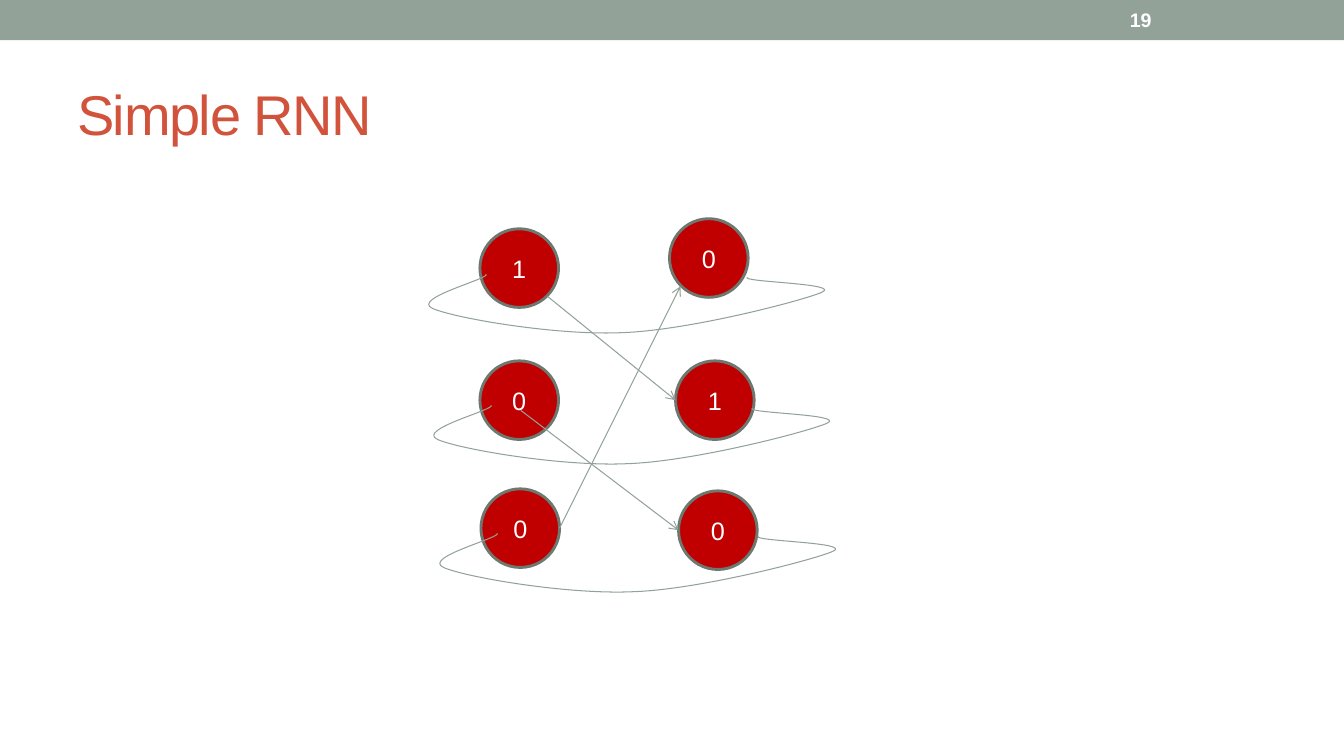
from pptx import Presentation
from pptx.dml.color import RGBColor
from pptx.enum.shapes import MSO_CONNECTOR, MSO_SHAPE
from pptx.enum.text import MSO_ANCHOR, PP_ALIGN
from pptx.oxml.ns import qn
from pptx.util import Inches, Pt
from lxml import etree

SAGE = RGBColor(0x93, 0xA2, 0x99)
RIM = RGBColor(0x6D, 0x78, 0x71)
RED = RGBColor(0xC0, 0x00, 0x00)
RUST = RGBColor(0xD2, 0x53, 0x3C)
WHITE = RGBColor(0xFF, 0xFF, 0xFF)
OVAL, RECT = MSO_SHAPE.OVAL, MSO_SHAPE.RECTANGLE
STRAIGHT = MSO_CONNECTOR.STRAIGHT
MIDDLE, CENTER = MSO_ANCHOR.MIDDLE, PP_ALIGN.CENTER

WIDE, HIGH = 13.33, 7.5
SIZE = 0.78  # node diameter
DIAG = 0.86  # share of the diameter at which the lower right rim lies

# Places are relative to the network's box
INPUTS = [("1", 0.51, 0.1), ("0", 0.51, 1.41), ("0", 0.52, 2.68)]
OUTPUTS = [("0", 2.39, 0), ("1", 2.45, 1.41), ("0", 2.48, 2.7)]
LOOPS = [(0.57, 0.55), (0.62, 1.85), (0.68, 3.12)]
# Two handles and an end for each curve of a loop, in 1/100 inch from its start
CURVES = [
    [(6, 4), (-75, 24), (-53, 34)],
    [(-30, 44), (71, 61), (135, 58)],
    [(199, 56), (312, 27), (333, 18)],
    [(354, 9), (253, 8), (259, 3)],
]


def write(shape, text, size, color, bold=False):
    frame = shape.text_frame
    frame.word_wrap = True
    frame.vertical_anchor = MIDDLE
    para = frame.paragraphs[0]
    para.text = text
    font = para.font
    font.name, font.size, font.bold = "Arial", Pt(size), bold
    font.color.rgb = color
    return para


def label(slide, box, text, size, color, bold=False):
    shape = slide.shapes.add_textbox(*map(Inches, box))
    return write(shape, text, size, color, bold)


def header(slide, box):
    """Draw the top band with the page number in it."""
    left, top, width, height = box
    band = slide.shapes.add_shape(RECT, *map(Inches, box))
    band.shadow.inherit = False
    band.fill.solid()
    band.fill.fore_color.rgb = SAGE
    band.line.fill.background()
    number = (left + width * 0.8333, top + 0.02, 1.56, height - 0.04)
    label(slide, number, "19", 14, WHITE, bold=True)


def title(slide, box):
    para = label(slide, box, "Simple RNN", 40, RUST)
    para.runs[0].font._element.set("spc", "-100")


def node(slide, text, x, y):
    oval = slide.shapes.add_shape(OVAL, *map(Inches, (x, y, SIZE, SIZE)))
    oval.shadow.inherit = False
    oval.fill.solid()
    oval.fill.fore_color.rgb = RED
    oval.line.color.rgb = RIM
    oval.line.width = Pt(2.08)
    write(oval, text, 18, WHITE).alignment = CENTER


def arrow(slide, start, end):
    line = slide.shapes.add_connector(STRAIGHT, *map(Inches, start + end))
    line.line.color.rgb = SAGE
    line.line.width = Pt(0.75)
    etree.SubElement(line.line._get_or_add_ln(), qn("a:tailEnd"), type="arrow")
    etree.SubElement(line._element.spPr, qn("a:effectLst"))


def loop(slide, x, y):
    """Draw a feedback loop whose straight pieces are turned into curves."""
    ends = [curve[-1] for curve in CURVES]
    outline = slide.shapes.build_freeform(0, 0, scale=Inches(0.01))
    outline.add_line_segments(ends, close=False)
    shape = outline.convert_to_shape(Inches(x), Inches(y))
    shape.shadow.inherit = False
    shape.fill.background()
    shape.line.color.rgb = SAGE
    shape.line.width = Pt(0.75)
    low = min(px for px, _ in ends)
    for piece, curve in zip(list(shape._element.iter(qn("a:lnTo"))), CURVES):
        bend = etree.Element(qn("a:cubicBezTo"))
        for px, py in curve:
            etree.SubElement(bend, qn("a:pt"), x=str(px - low), y=str(py))
        piece.getparent().replace(piece, bend)


def network(slide, left, top):
    def spot(item, across, down):
        """Return the point at the given shares of a node's box."""
        _, x, y = item
        return left + x + SIZE * across, top + y + SIZE * down

    for item in INPUTS + OUTPUTS:
        node(slide, item[0], *spot(item, 0, 0))
    first, second, third = INPUTS
    upper, middle, lower = OUTPUTS
    arrow(slide, spot(first, DIAG, DIAG), spot(middle, 0, 0.5))
    arrow(slide, spot(second, 0.52, 0.63), spot(lower, 0, 0.5))
    arrow(slide, spot(third, 1, 0.5), spot(upper, 1 - DIAG, DIAG))
    for x, y in LOOPS:
        loop(slide, left + x, top + y)


def main():
    deck = Presentation()
    deck.slide_width, deck.slide_height = Inches(WIDE), Inches(HIGH)
    slide = deck.slides.add_slide(deck.slide_layouts[6])
    header(slide, (0, 0, WIDE, 0.4))
    title(slide, (WIDE * 0.05, 0.58, WIDE * 0.9, 1.08))
    network(slide, 4.25, 2.17)
    deck.save("out.pptx")


if __name__ == "__main__":
    main()
